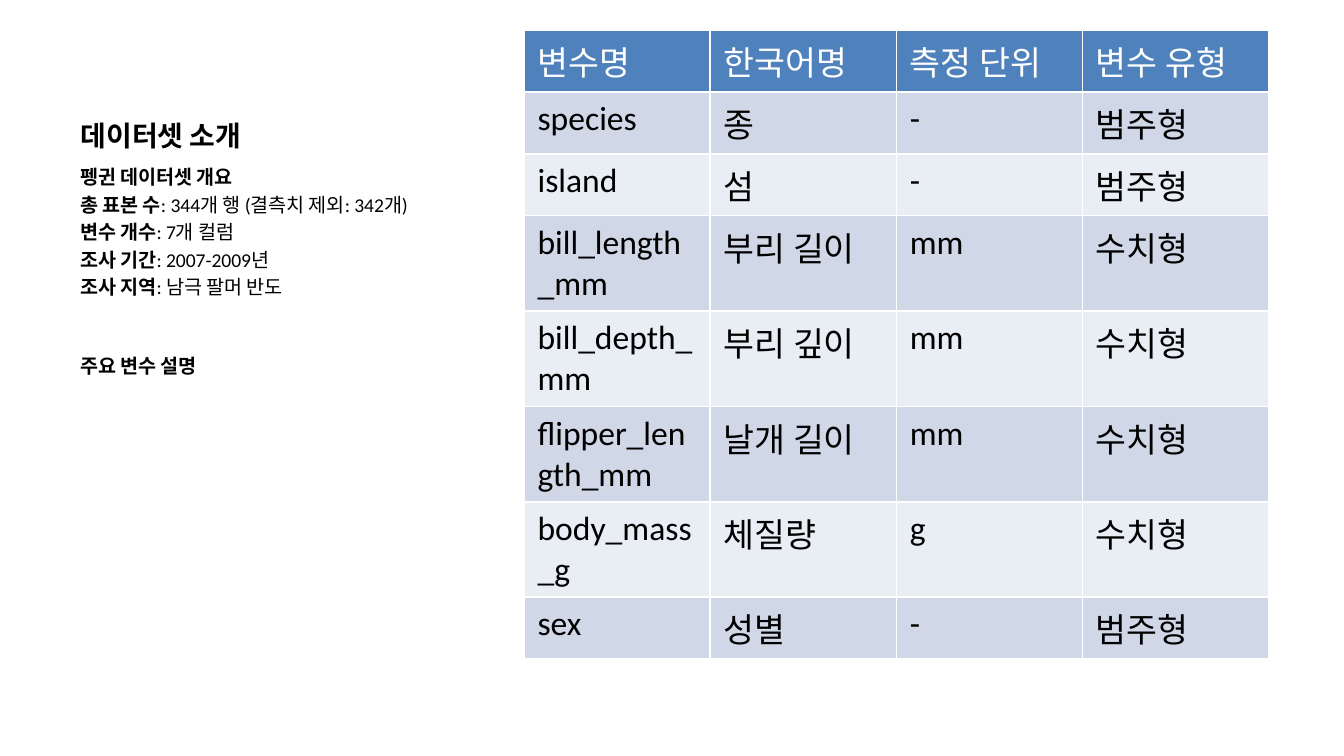
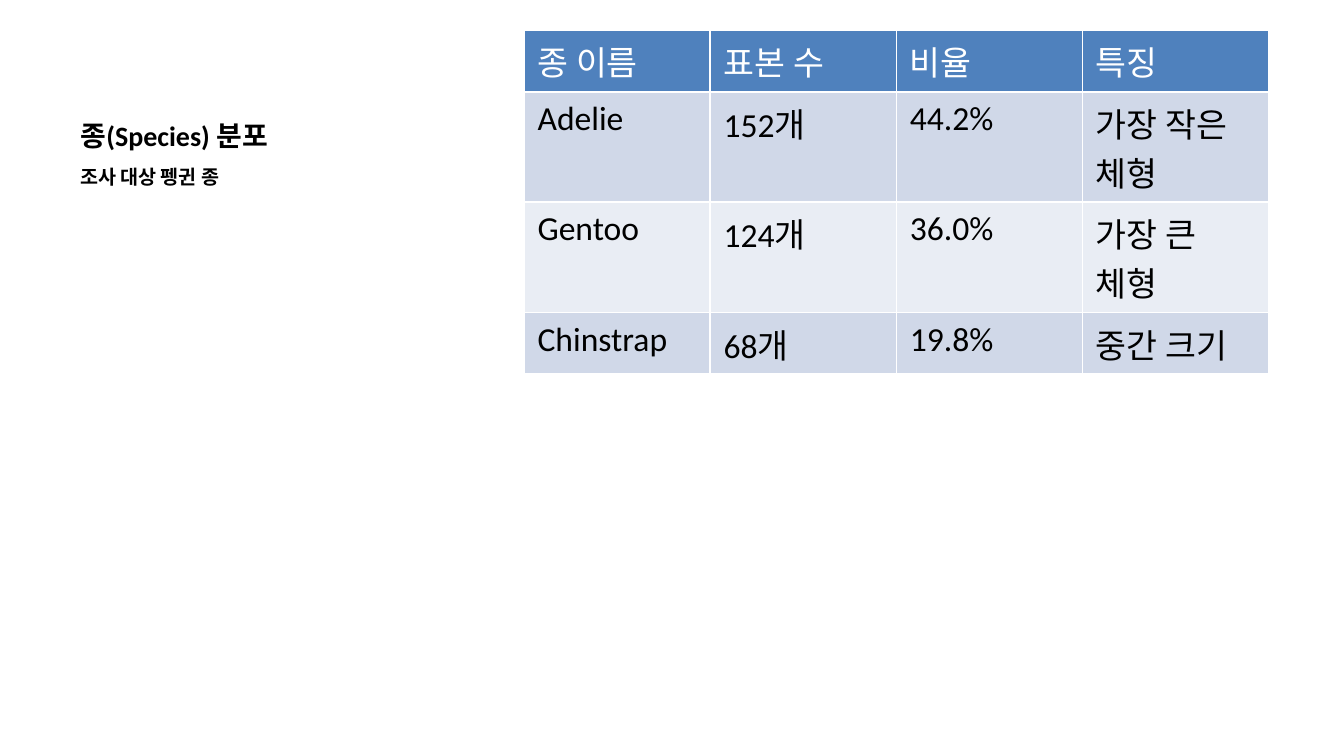
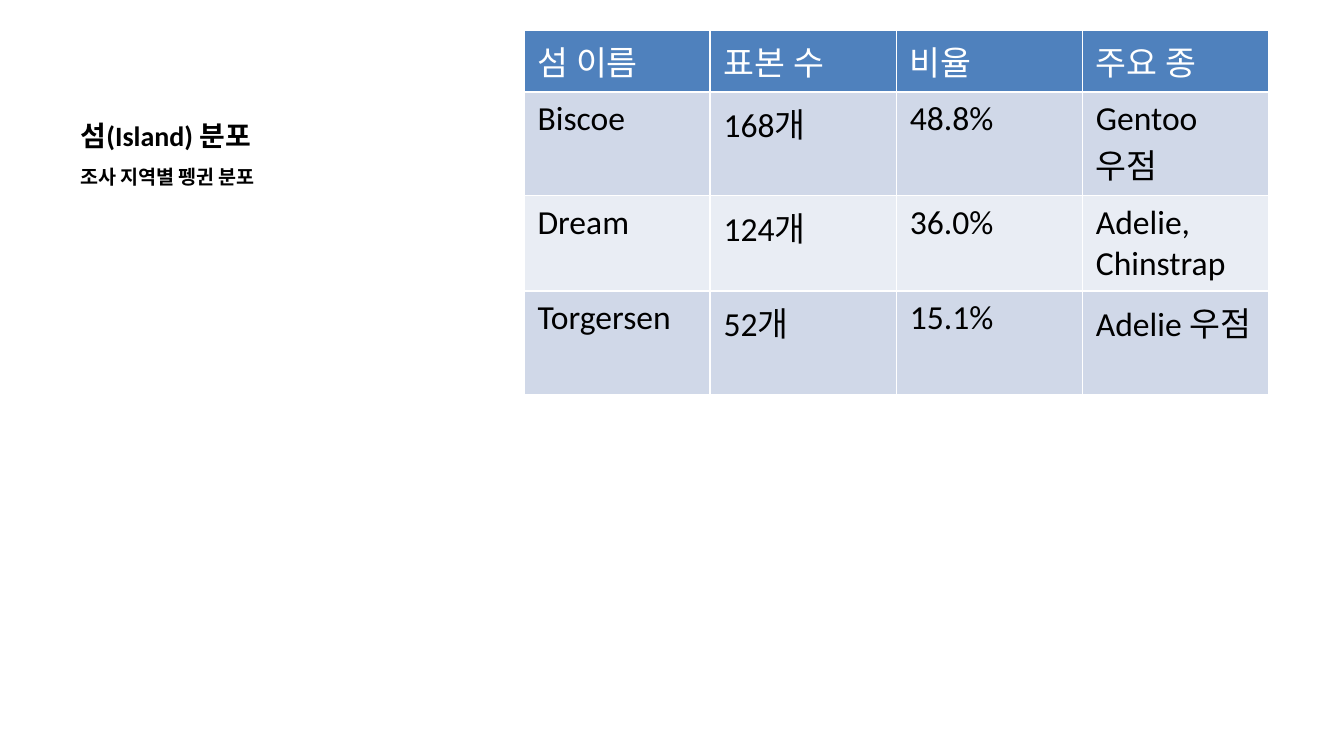
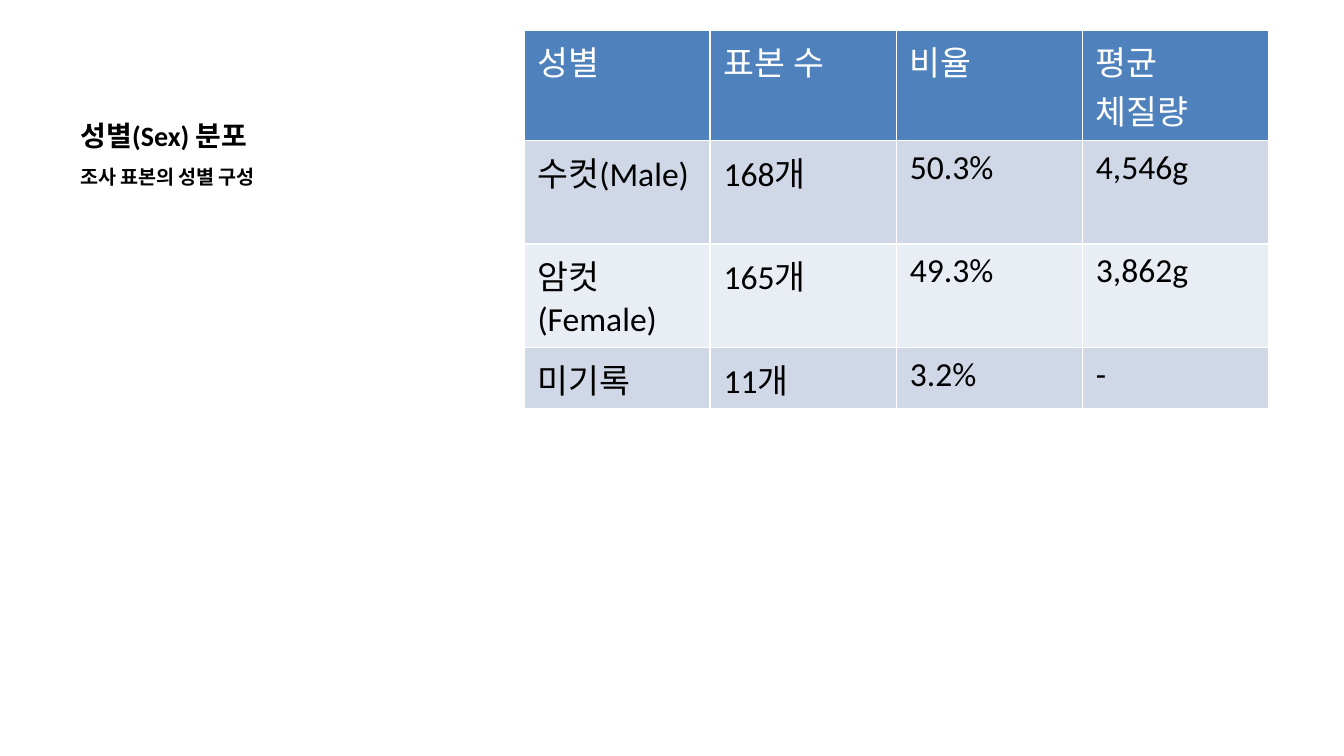
from pptx import Presentation
from pptx.dml.color import RGBColor
from pptx.enum.text import MSO_ANCHOR as Anchor, MSO_AUTO_SIZE as AutoSize, PP_ALIGN as Align
from pptx.util import Inches, Pt

WIDTH, HEIGHT = 10, 10 * 9 / 16
FONT = "Calibri"
BLACK, WHITE = "000000", "FFFFFF"
HEADER_FILL = "4F81BD"
BAND_FILLS = ["D0D8E8", "E9EDF4"]
TEXT_LEFT, TEXT_WIDTH = 0.05, 0.33
TITLE_TOP, TITLE_HEIGHT = 0.04, 0.17
BODY_TOP, BODY_HEIGHT = 0.21, 0.68
TABLE_LEFT, TABLE_WIDTH, TABLE_HEIGHT = 0.39, 0.56, 0.85
COLUMNS_WIDTH = 5.54
LINE_GAP, SECTION_GAP = 2.1, 30
SINGLE, LATIN_PAIR, MIXED_PAIR, KOREAN_PAIR = 0.46, 0.71, 0.77, 0.82

SLIDES = [
    {
        "title": "데이터셋 소개",
        "body": [
            ("펭귄 데이터셋 개요", ""),
            ("총 표본 수", ": 344개 행 (결측치 제외: 342개)"),
            ("변수 개수", ": 7개 컬럼"),
            ("조사 기간", ": 2007-2009년"),
            ("조사 지역", ": 남극 팔머 반도"),
            ("주요 변수 설명", ""),
        ],
        "table": [
            (SINGLE, ["변수명", "한국어명", "측정 단위", "변수 유형"]),
            (SINGLE, ["species", "종", "-", "범주형"]),
            (SINGLE, ["island", "섬", "-", "범주형"]),
            (LATIN_PAIR, ["bill_length_mm", "부리 길이", "mm", "수치형"]),
            (LATIN_PAIR, ["bill_depth_mm", "부리 깊이", "mm", "수치형"]),
            (LATIN_PAIR, ["flipper_length_mm", "날개 길이", "mm", "수치형"]),
            (LATIN_PAIR, ["body_mass_g", "체질량", "g", "수치형"]),
            (SINGLE, ["sex", "성별", "-", "범주형"]),
        ],
    },
    {
        "title": "종(Species) 분포",
        "body": [("조사 대상 펭귄 종", "")],
        "table": [
            (SINGLE, ["종 이름", "표본 수", "비율", "특징"]),
            (KOREAN_PAIR, ["Adelie", "152개", "44.2%", "가장 작은 체형"]),
            (KOREAN_PAIR, ["Gentoo", "124개", "36.0%", "가장 큰 체형"]),
            (SINGLE, ["Chinstrap", "68개", "19.8%", "중간 크기"]),
        ],
    },
    {
        "title": "섬(Island) 분포",
        "body": [("조사 지역별 펭귄 분포", "")],
        "table": [
            (SINGLE, ["섬 이름", "표본 수", "비율", "주요 종"]),
            (MIXED_PAIR, ["Biscoe", "168개", "48.8%", "Gentoo 우점"]),
            (LATIN_PAIR, ["Dream", "124개", "36.0%", "Adelie, Chinstrap"]),
            (MIXED_PAIR, ["Torgersen", "52개", "15.1%", "Adelie 우점"]),
        ],
    },
    {
        "title": "성별(Sex) 분포",
        "body": [("조사 표본의 성별 구성", "")],
        "table": [
            (KOREAN_PAIR, ["성별", "표본 수", "비율", "평균 체질량"]),
            (MIXED_PAIR, ["수컷(Male)", "168개", "50.3%", "4,546g"]),
            (MIXED_PAIR, ["암컷(Female)", "165개", "49.3%", "3,862g"]),
            (SINGLE, ["미기록", "11개", "3.2%", "-"]),
        ],
    },
]


def color(hex_string):
    """Turn a hex string into a colour."""
    return RGBColor.from_string(hex_string)


def area(left, top, width, height):
    """Turn shares of the slide into lengths."""
    return (Inches(left * WIDTH), Inches(top * HEIGHT),
            Inches(width * WIDTH), Inches(height * HEIGHT))


def style_font(font, size, hex_string, bold=None):
    """Set the shared typeface with a size, colour and weight."""
    font.name = FONT
    font.size = Pt(size)
    font.color.rgb = color(hex_string)
    font.bold = bold


def set_title(slide, text):
    """Place and format the title placeholder."""
    title = slide.shapes.title
    title.left, title.top, title.width, title.height = area(
        TEXT_LEFT, TITLE_TOP, TEXT_WIDTH, TITLE_HEIGHT)
    frame = title.text_frame
    frame.text = text
    frame.auto_size = AutoSize.NONE
    frame.vertical_anchor = Anchor.BOTTOM
    paragraph = frame.paragraphs[0]
    paragraph.alignment = Align.LEFT
    style_font(paragraph.font, 15, BLACK, True)


def add_body(slide, lines):
    """Add lines of a bold label and an optional plain detail."""
    box = slide.shapes.add_textbox(*area(TEXT_LEFT, BODY_TOP, TEXT_WIDTH, BODY_HEIGHT))
    frame = box.text_frame
    frame.word_wrap = True
    for index, (label, detail) in enumerate(lines):
        paragraph = frame.add_paragraph() if index else frame.paragraphs[0]
        if index:
            paragraph.space_before = Pt(LINE_GAP if detail else SECTION_GAP)
        style_font(paragraph.font, 10.5, BLACK)
        for text, bold in ((label, True), (detail, False)):
            if text:
                run = paragraph.add_run()
                run.text = text
                run.font.bold = bold


def add_data_table(slide, rows):
    """Add a table with a header, banded fills and equal columns."""
    column_count = len(rows[0][1])
    shape = slide.shapes.add_table(
        len(rows), column_count, *area(TABLE_LEFT, TITLE_TOP, TABLE_WIDTH, TABLE_HEIGHT))
    table = shape.table
    for column in table.columns:
        column.width = Inches(COLUMNS_WIDTH / column_count)
    for row_index, (height, values) in enumerate(rows):
        is_header = row_index == 0
        fill = HEADER_FILL if is_header else BAND_FILLS[(row_index - 1) % 2]
        table.rows[row_index].height = Inches(height)
        for column_index, value in enumerate(values):
            cell = table.cell(row_index, column_index)
            cell.text = value
            cell.fill.solid()
            cell.fill.fore_color.rgb = color(fill)
            style_font(cell.text_frame.paragraphs[0].font, 18,
                       WHITE if is_header else BLACK, False)


def main():
    """Build the slides and save them."""
    presentation = Presentation()
    presentation.slide_width = Inches(WIDTH)
    presentation.slide_height = Inches(HEIGHT)
    title_only = presentation.slide_layouts.get_by_name("Title Only")
    for content in SLIDES:
        slide = presentation.slides.add_slide(title_only)
        set_title(slide, content["title"])
        add_body(slide, content["body"])
        add_data_table(slide, content["table"])
    presentation.save("out.pptx")


if __name__ == "__main__":
    main()
